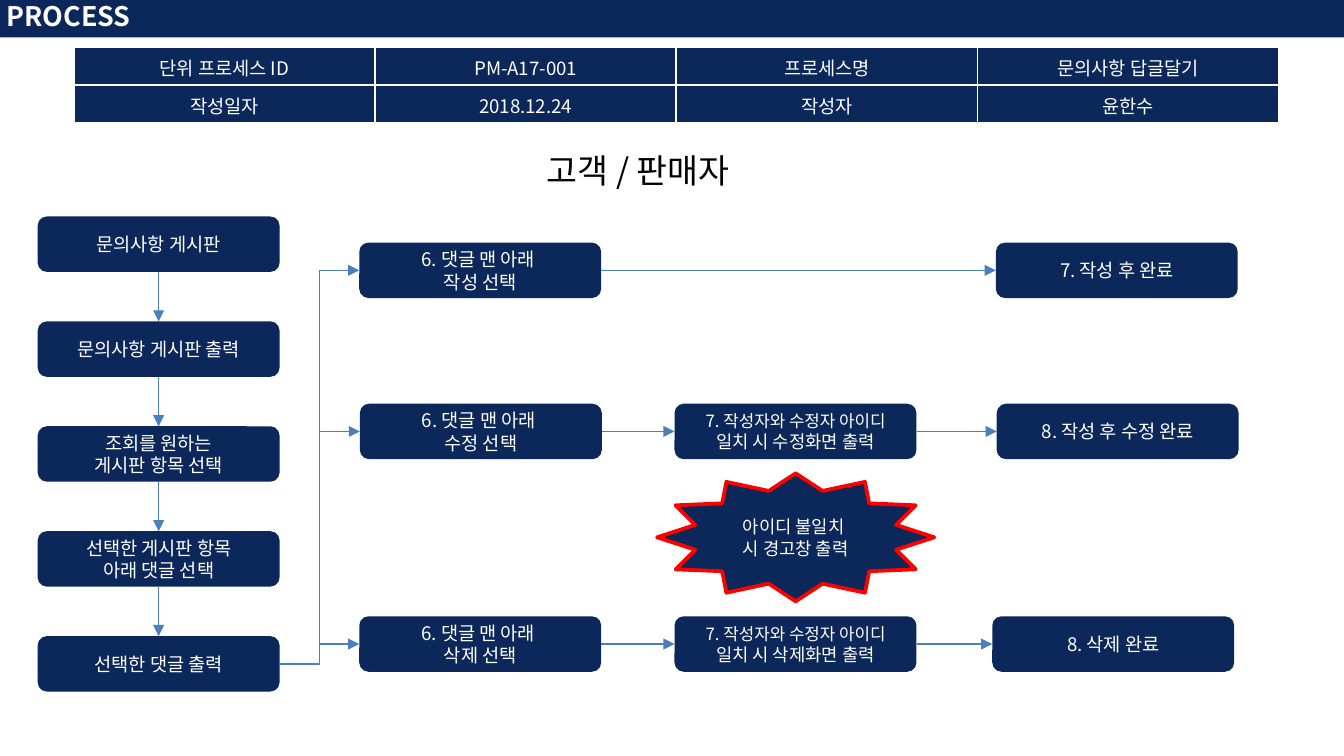
import pptx
import pptx.dml.color
import pptx.enum.dml
import pptx.enum.shapes
import pptx.enum.text
import pptx.oxml.ns
import pptx.util
from lxml import etree

Pt = pptx.util.Pt
SHAPES = pptx.enum.shapes.MSO_SHAPE
CONNECTORS = pptx.enum.shapes.MSO_CONNECTOR
ALIGN = pptx.enum.text.PP_ALIGN
ANCHOR = pptx.enum.text.MSO_ANCHOR
qn = pptx.oxml.ns.qn

FONT = "Noto Sans CJK KR"
NAVY, WHITE, BLACK, RED, BLUE = "0C2759", "FFFFFF", "000000", "FF0000", "4B7EBC"
BOX_WIDTH, BOX_HEIGHT = 129.6, 29.7
TOP, BOTTOM_SITE, LEFT, RIGHT = 0, 2, 1, 3
TRUNK_X = 171.4

TABLE_ROWS = [
    ["단위 프로세스 ID", "PM-A17-001", "프로세스명", "문의사항 답글달기"],
    ["작성일자", "2018.12.24", "작성자", "윤한수"],
]
MAIN_STEPS = [
    "문의사항 게시판",
    "문의사항 게시판 출력",
    "조회를 원하는\n게시판 항목 선택",
    "선택한 게시판 항목\n아래 댓글 선택",
    "선택한 댓글 출력",
]
# Each branch: top, then (left, text, sizes of its lines) for every step
BRANCHES = [
    (130, [(192.5, "6. 댓글 맨 아래 \v작성 선택", [10]),
           (533.5, "7. 작성 후 완료", [10])]),
    (216.3, [(192.8, "6. 댓글 맨 아래 \v수정 선택", [10]),
             (361.4, "7. 작성자와 수정자 아이디\n일치 시 수정화면 출력", [9, 9.5]),
             (534, "8. 작성 후 수정 완료", [10])]),
    (330.2, [(192.5, "6. 댓글 맨 아래 \v삭제 선택", [10]),
             (361.4, "7. 작성자와 수정자 아이디\n일치 시 삭제화면 출력", [9, 9.5]),
             (531.6, "8. 삭제 완료", [10])]),
]


def color(value):
    return pptx.dml.color.RGBColor.from_string(value)


def fill_solid(target, value):
    target.fill.solid()
    target.fill.fore_color.rgb = color(value)


def write_text(frame, text, sizes=(10,), font_color=WHITE, bold=False,
               align=ALIGN.CENTER, anchor=ANCHOR.MIDDLE):
    """Write one paragraph per line; the last size serves any further lines."""
    frame.text = text
    frame.vertical_anchor = anchor
    for index, paragraph in enumerate(frame.paragraphs):
        paragraph.alignment = align
        for run in paragraph.runs:
            run.font.size = Pt(sizes[min(index, len(sizes) - 1)])
            run.font.bold = bold
            run.font.color.rgb = color(font_color)
            run.font.name = FONT
            properties = run.font._element
            etree.SubElement(properties, qn("a:ea"), typeface=FONT)


def add_title(slide, text):
    title = slide.shapes.title
    title.left, title.top, title.width, title.height = Pt(-3), Pt(-3), Pt(723), Pt(23)
    fill_solid(title, NAVY)
    frame = title.text_frame
    frame.margin_left = frame.margin_right = Pt(6.5)
    frame.margin_top = frame.margin_bottom = Pt(3)
    write_text(frame, text, sizes=[14.4], bold=True, align=ALIGN.LEFT)


def add_heading(slide, text):
    box = slide.shapes.add_textbox(Pt(285.8), Pt(77), Pt(149), Pt(29.5))
    box.text_frame.word_wrap = True
    write_text(box.text_frame, text, sizes=[18], font_color=BLACK,
               align=ALIGN.LEFT, anchor=ANCHOR.TOP)


def add_cell_borders(cell):
    properties = cell._tc.get_or_add_tcPr()
    for index, side in enumerate(("lnL", "lnR", "lnT", "lnB")):
        line = etree.Element(qn(f"a:{side}"), w=str(Pt(1)))
        fill = etree.SubElement(line, qn("a:solidFill"))
        etree.SubElement(fill, qn("a:srgbClr"), val=WHITE)
        properties.insert(index, line)


def add_information_table(slide):
    frame = slide.shapes.add_table(2, 4, Pt(39.5), Pt(25.5), Pt(645.6), Pt(40.4))
    for row, texts in zip(frame.table.rows, TABLE_ROWS):
        for cell, text in zip(row.cells, texts):
            fill_solid(cell, NAVY)
            add_cell_borders(cell)
            write_text(cell.text_frame, text)
            cell.vertical_anchor = ANCHOR.MIDDLE


def add_shape(slide, preset, left, top, width, height, text, sizes, outline=None):
    shape = slide.shapes.add_shape(preset, Pt(left), Pt(top), Pt(width), Pt(height))
    shape.shadow.inherit = False
    fill_solid(shape, NAVY)
    if outline:
        shape.line.color.rgb = color(outline)
        shape.line.width = Pt(2)
    else:
        shape.line.fill.background()
    shape.text_frame.word_wrap = True
    write_text(shape.text_frame, text, sizes=sizes)
    return shape


def add_box(slide, left, top, text, sizes=(10,)):
    return add_shape(slide, SHAPES.ROUNDED_RECTANGLE, left, top,
                     BOX_WIDTH, BOX_HEIGHT, text, sizes)


def add_arrow(slide, end, end_site, start=None, start_site=RIGHT,
              start_point=(0, 0), kind=CONNECTORS.STRAIGHT):
    """Point at a shape, from another shape or from a free point."""
    x, y = (Pt(value) for value in start_point)
    arrow = slide.shapes.add_connector(kind, x, y, x, y)
    if start is not None:
        arrow.begin_connect(start, start_site)
    arrow.end_connect(end, end_site)
    arrow.line.color.rgb = color(BLUE)
    arrow.line.width = Pt(0.75)
    line = arrow.line._get_or_add_ln()
    etree.SubElement(line, qn("a:tailEnd"), type="triangle")
    etree.SubElement(arrow._element.spPr, qn("a:effectLst"))


def add_main_steps(slide):
    boxes = [add_box(slide, 20.2, 116 + 56.2 * index, text)
             for index, text in enumerate(MAIN_STEPS)]
    for start, end in zip(boxes, boxes[1:]):
        add_arrow(slide, end, TOP, start, BOTTOM_SITE)
    return boxes[-1]


def add_branches(slide, last_step):
    for index, (top, steps) in enumerate(BRANCHES):
        boxes = [add_box(slide, left, top, text, sizes) for left, text, sizes in steps]
        if index == 0:
            add_arrow(slide, boxes[0], LEFT, last_step, kind=CONNECTORS.ELBOW)
        else:
            add_arrow(slide, boxes[0], LEFT, start_point=(TRUNK_X, top + BOX_HEIGHT / 2))
        for start, end in zip(boxes, boxes[1:]):
            add_arrow(slide, end, LEFT, start)


def main():
    presentation = pptx.Presentation()
    presentation.slide_width, presentation.slide_height = Pt(720), Pt(405)
    slide = presentation.slides.add_slide(presentation.slide_layouts[5])
    add_title(slide, "PROCESS")
    add_heading(slide, "고객 / 판매자")
    add_information_table(slide)
    add_branches(slide, add_main_steps(slide))
    add_shape(slide, SHAPES.STAR_12_POINT, 352, 253.6, 148.5, 68.6,
              "아이디 불일치 \n시 경고창 출력", [9.5], outline=RED)
    presentation.save("out.pptx")


if __name__ == "__main__":
    main()
